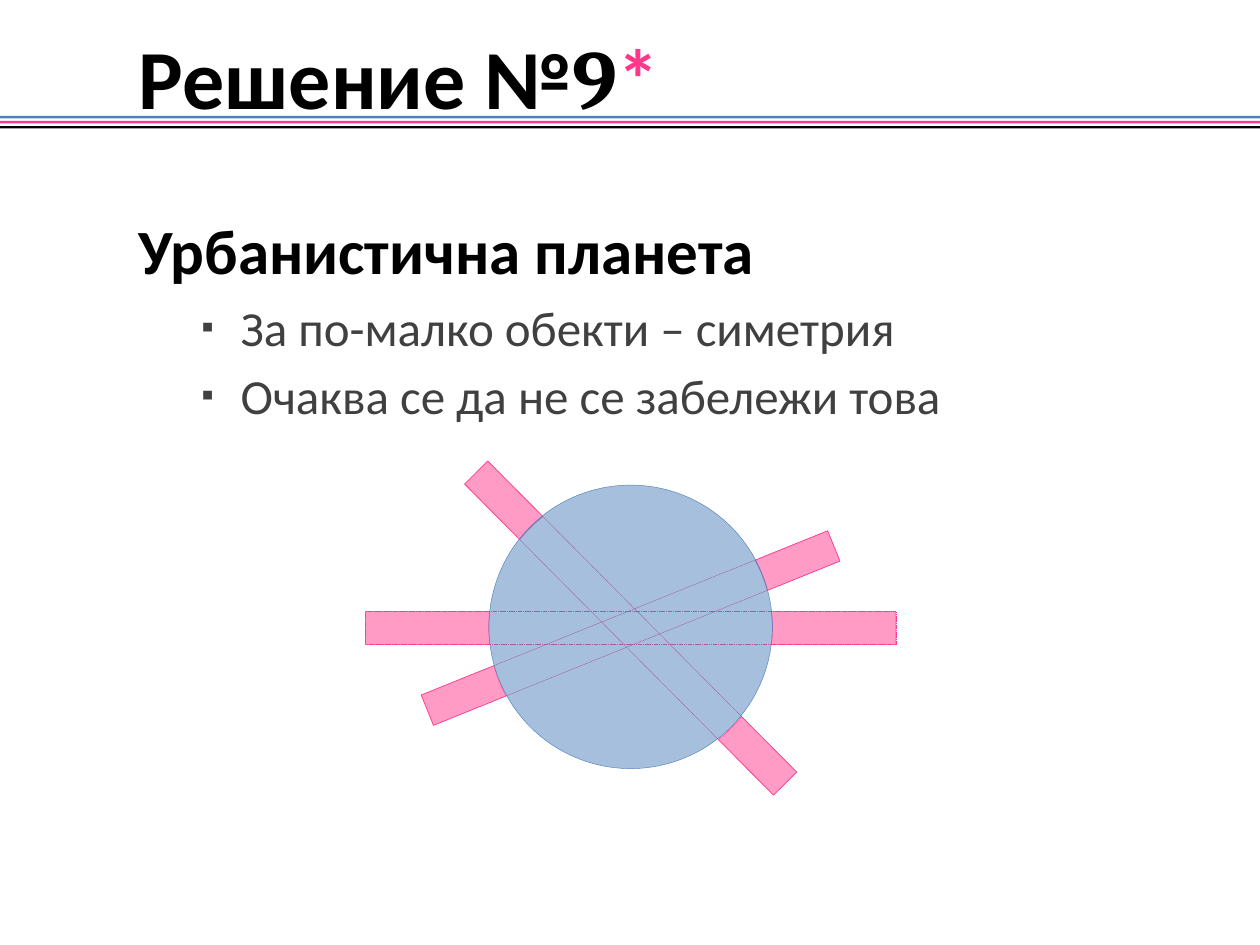
"""Build the slide about the symmetric urban planet."""
import math
import pptx
import pptx.util
import pptx.dml.color
import pptx.enum.dml
import pptx.enum.shapes
import pptx.enum.text
import pptx.oxml
import pptx.oxml.ns
import lxml.etree

RGB = pptx.dml.color.RGBColor
BLUE = RGB(0x4F, 0x81, 0xBD)
PINK = RGB(0xFF, 0x38, 0x8C)
BLACK = RGB(0, 0, 0)
GREY = RGB(0x40, 0x40, 0x40)
KIND = pptx.enum.shapes.MSO_SHAPE
ALIGN = pptx.enum.text.PP_ALIGN
ANCHOR = pptx.enum.text.MSO_ANCHOR
Inches = pptx.util.Inches
Pt = pptx.util.Pt
WIDE, HIGH = 10, 7.5
BARS = ((0, 4.21), (45.2, 3.48), (-22, 3.48))
THICK = 0.26


def place(shape, box):
    """Move a shape to a box of inches."""
    shape.left, shape.top, shape.width, shape.height = map(Inches, box)


def style(run, size, color, font="Calibri", bold=False):
    """Set the font of one run."""
    run.font.size, run.font.name, run.font.bold = Pt(size), font, bold
    run.font.color.rgb = color


def paint(shape, fill=None, line=None, dash=None):
    """Give a shape a half clear fill and a thin line."""
    shape.shadow.inherit = False
    if fill is None:
        shape.fill.background()
    else:
        shape.fill.solid()
        shape.fill.fore_color.rgb = fill
        color = shape.fill._xPr.find(".//" + pptx.oxml.ns.qn("a:srgbClr"))
        lxml.etree.SubElement(color, pptx.oxml.ns.qn("a:alpha"), val="50000")
    shape.line.color.rgb = line
    shape.line.width = Pt(0.25)
    if dash:
        shape.line.dash_style = dash


def indent(para, left, hang, char=None):
    """Set the indent and the bullet of a paragraph."""
    props = para._p.get_or_add_pPr()
    props.set("marL", str(Inches(left)))
    props.set("indent", str(Inches(hang)))
    space = pptx.oxml.ns.nsdecls("a")
    marks = [f"<a:buNone {space}/>"]
    if char:
        marks = [f'<a:buClr {space}><a:srgbClr val="{GREY}"/></a:buClr>',
                 f'<a:buSzPct {space} val="70000"/>',
                 f'<a:buFont {space} typeface="Calibri"/>',
                 f'<a:buChar {space} char="{char}"/>']
    for mark in marks:
        props.append(pptx.oxml.parse_xml(mark))


def add_rule(slide, box):
    """Draw the three stripes that fill a box in equal rows."""
    left, top, width, height = box
    for row, color in enumerate((BLUE, PINK, BLACK)):
        stripe = slide.shapes.add_shape(KIND.RECTANGLE, 0, 0, 0, 0)
        place(stripe, (left, top + row * height / 3, width, height / 6))
        stripe.shadow.inherit = False
        stripe.fill.solid()
        stripe.fill.fore_color.rgb = color
        stripe.line.fill.background()


def add_title(slide, box):
    """Fill the title placeholder."""
    title = slide.shapes.title
    place(title, box)
    frame = title.text_frame
    frame.vertical_anchor = ANCHOR.MIDDLE
    frame.auto_size = pptx.enum.text.MSO_AUTO_SIZE.NONE
    para = frame.paragraphs[0]
    para.alignment = ALIGN.LEFT
    indent(para, WIDE / 10, 0)
    for text, color, font in (("Решение №", BLACK, "Calibri"),
                              ("9", BLACK, "Cambria"),
                              ("*", PINK, "Calibri")):
        run = para.add_run()
        run.text = text
        style(run, 48, color, font, True)


def add_body(slide, box):
    """Fill the body placeholder with a heading and its points."""
    body = slide.placeholders[1]
    place(body, box)
    frame = body.text_frame
    frame.text = ("Урбанистична планета\nЗа по-малко обекти – симетрия\n"
                  "Очаква се да не се забележи това")
    frame.auto_size = pptx.enum.text.MSO_AUTO_SIZE.NONE
    head, *points = frame.paragraphs
    head.line_spacing = 1.5
    head.space_before = Pt(7.2)
    indent(head, 0, 0)
    style(head.runs[0], 36, BLACK, bold=True)
    for para in points:
        para.level = 1
        para.space_before = Pt(5.6)
        indent(para, 0.81, -0.31, "▪")
        style(para.runs[0], 28, GREY)


def bar_end(mid, radius, angle, length):
    """Return the outline of a bar end that sticks out of the disc."""
    half = THICK / 2
    edge = math.asin(half / radius)
    arc = [edge * step / 4 for step in range(-4, 5)]
    spots = [(radius * math.cos(a), radius * math.sin(a)) for a in arc]
    spots += [(length / 2, half), (length / 2, -half)]
    cos, sin = math.cos(angle), math.sin(angle)
    return [(Inches(mid[0] + x * cos - y * sin),
             Inches(mid[1] + x * sin + y * cos)) for x, y in spots]


def add_planet(slide, box):
    """Draw the disc and the three bars that cross it."""
    left, top, width, height = box
    mid, radius = (left + width / 2, top + height / 2 + 0.01), width / 2
    ends = [bar_end(mid, radius, math.radians(turn + half), length)
            for turn, length in BARS for half in (0, 180)]
    build = slide.shapes.build_freeform(*ends[0][0])
    build.add_line_segments(ends[0][1:])
    for spots in ends[1:]:
        build.move_to(*spots[0])
        build.add_line_segments(spots[1:])
    paint(build.convert_to_shape(), PINK, PINK)
    for turn, length in BARS:
        bar = slide.shapes.add_shape(KIND.RECTANGLE, 0, 0, 0, 0)
        place(bar, (mid[0] - length / 2, mid[1] - THICK / 2, length, THICK))
        bar.rotation = turn
        paint(bar, None, PINK, pptx.enum.dml.MSO_LINE.SQUARE_DOT)
    disc = slide.shapes.add_shape(KIND.OVAL, 0, 0, 0, 0)
    place(disc, box)
    paint(disc, BLUE, BLUE)


def main():
    """Build and save the presentation."""
    deck = pptx.Presentation()
    deck.slide_width, deck.slide_height = Inches(WIDE), Inches(HIGH)
    slide = deck.slides.add_slide(deck.slide_layouts[1])
    add_rule(slide, (0, 0.92, WIDE, 0.12))
    add_title(slide, (0, 0.25, WIDE, 0.71))
    add_body(slide, (WIDE / 10, 1.33, 8.92, 6.08))
    add_planet(slide, (3.88, 3.85, 2.25, 2.25))
    deck.save("out.pptx")


if __name__ == "__main__":
    main()
